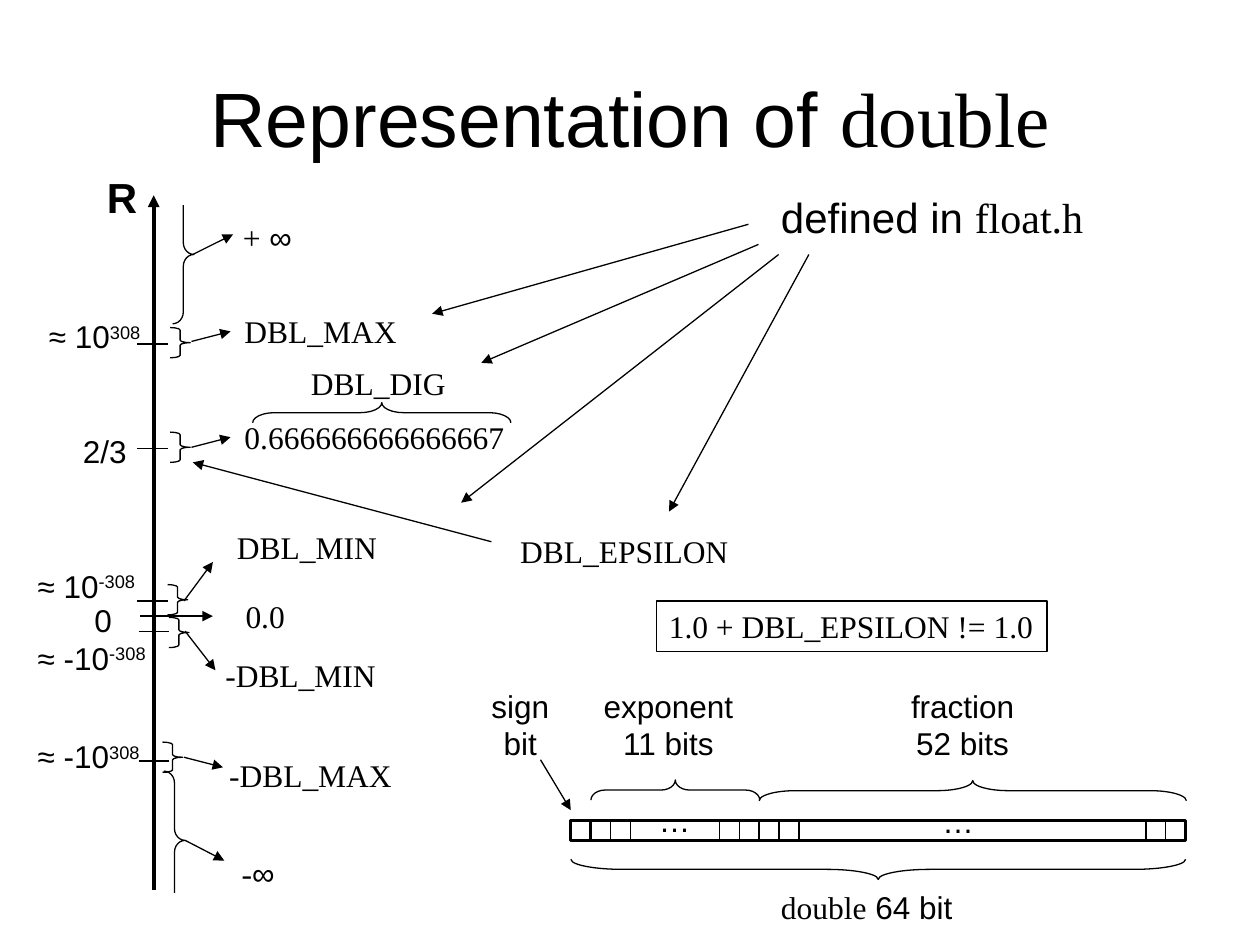
from typing import NamedTuple, Optional

from lxml.etree import SubElement
from pptx import Presentation
from pptx.dml.color import RGBColor
from pptx.enum.shapes import MSO_CONNECTOR as Conn, MSO_SHAPE as Shape
from pptx.enum.text import MSO_ANCHOR as Anchor, MSO_AUTO_SIZE as AutoSize, PP_ALIGN as Align
from pptx.oxml.ns import qn
from pptx.util import Cm, Pt

COLORS = {"ink": "000000", "paper": "FFFFFF"}
SANS, SERIF = "Arial", "Times New Roman"
CM_PER_INCH = 2.54


class Run(NamedTuple):
    text: str
    font: str = SANS
    raised: bool = False


class Label(NamedTuple):
    x: float
    y: float
    w: float
    h: float
    lines: list[list[Run]]
    size: int = 18
    bold: bool = False
    align: Align = Align.LEFT
    outline: Optional[float] = None


class Line(NamedTuple):
    x1: float
    y1: float
    x2: float
    y2: float
    width: float = 0.75
    arrow: bool = False


class Brace(NamedTuple):
    x: float
    y: float
    w: float
    h: float
    curl: float = 0.125
    rotation: int = 0


def length(inches: float) -> Cm:
    return Cm(inches * CM_PER_INCH)


def color(name: str) -> RGBColor:
    return RGBColor.from_string(COLORS[name])


def stroke(line, width: float, name: str = "ink") -> None:
    line.color.rgb = color(name)
    line.width = Pt(width)


def write(p, runs: list[Run], size: int, bold: bool = False, align: Align = Align.LEFT) -> None:
    p.alignment = align
    p.font.size, p.font.bold = Pt(size), bold
    p.font.color.rgb = color("ink")
    shared = len({run.font for run in runs}) == 1
    if shared:
        p.font.name = runs[0].font
    for run in runs:
        r = p.add_run()
        r.text = run.text
        if not shared:
            r.font.name = run.font
        if run.raised:
            r._r.get_or_add_rPr().set("baseline", "30000")


def draw_label(shapes, label: Label) -> None:
    sp = shapes.add_textbox(*map(length, label[:4]))
    tf = sp.text_frame
    tf.word_wrap = False
    tf.auto_size = AutoSize.SHAPE_TO_FIT_TEXT
    for i, runs in enumerate(label.lines):
        p = tf.add_paragraph() if i else tf.paragraphs[0]
        write(p, runs, label.size, label.bold, label.align)
    if label.outline:
        stroke(sp.line, label.outline)


def draw_line(shapes, line: Line) -> None:
    c = shapes.add_connector(Conn.STRAIGHT, *map(length, line[:4]))
    stroke(c.line, line.width)
    spPr = c._element.spPr
    if line.arrow:
        SubElement(spPr.find(qn("a:ln")), qn("a:tailEnd"), type="triangle")
    SubElement(spPr, qn("a:effectLst"))


def draw_brace(shapes, brace: Brace) -> None:
    sp = shapes.add_shape(Shape.RIGHT_BRACE, *map(length, brace[:4]))
    sp.shadow.inherit = False
    sp.fill.background()
    stroke(sp.line, 0.75)
    sp.adjustments[0] = brace.curl
    sp.rotation = brace.rotation


def draw_box(shapes, x: float, y: float, w: float, h: float, width: float, edge: str) -> None:
    sp = shapes.add_shape(Shape.RECTANGLE, *map(length, (x, y, w, h)))
    sp.shadow.inherit = False
    sp.fill.solid()
    sp.fill.fore_color.rgb = color("paper")
    stroke(sp.line, width, edge)


def power(x: float, y: float, w: float, base: str, exponent: str) -> Label:
    return Label(x, y, w, 0.4, [[Run(base), Run(exponent, raised=True)]])


def code(x: float, y: float, w: float, text: str, outline: Optional[float] = None) -> Label:
    return Label(x, y, w, 0.4, [[Run(text, SERIF)]], outline=outline)


def field(x: float, w: float, *lines: str) -> Label:
    return Label(x, 5.4, w, 0.7, [[Run(text)] for text in lines], align=Align.CENTER)


def arrow(x1: float, y1: float, x2: float, y2: float) -> Line:
    return Line(x1, y1, x2, y2, arrow=True)


LABELS = [
    Label(0.75, 1.31, 0.45, 0.51, [[Run("R")]], 24, True),
    power(0.22, 2.47, 1.03, " ≈ 10", "308"),
    power(0.2, 5.8, 1.05, "≈ -10", "308"),
    power(0.2, 4.45, 1.03, "≈ 10", "-308"),
    power(0.2, 5.02, 1.11, "≈ -10", "-308"),
    Label(0.65, 4.72, 0.33, 0.4, [[Run("0")]]),
    Label(0.56, 3.38, 0.58, 0.4, [[Run("2/3")]]),
    Label(1.83, 1.68, 0.59, 0.4, [[Run("+", SERIF), Run(" ∞")]]),
    code(1.78, 2.43, 1.47, " DBL_MAX"),
    code(2.37, 2.84, 1.27, "DBL_DIG"),
    code(1.78, 3.27, 2.33, " 0.666666666666667"),
    code(1.72, 4.14, 1.38, " DBL_MIN"),
    code(1.85, 4.69, 0.51, "0.0"),
    code(1.69, 5.16, 1.4, "-DBL_MIN"),
    code(1.72, 5.95, 1.49, "-DBL_MAX"),
    Label(1.82, 6.73, 0.47, 0.4, [[Run("-", SERIF), Run("∞")]]),
    code(4.03, 4.17, 1.85, "DBL_EPSILON"),
    Label(6.1, 1.47, 2.6, 0.5, [[Run("defined in "), Run("float.h", SERIF)]], 24),
    code(5.21, 4.77, 3.1, "1.0 + DBL_EPSILON != 1.0", 0.75),
    Label(5.13, 6.31, 0.45, 0.4, [[Run("…")]]),
    Label(7.38, 6.32, 0.45, 0.4, [[Run("…")]]),
    field(3.8, 0.66, "sign", "bit"),
    field(4.69, 1.23, "exponent", "11 bits"),
    field(7.13, 1.02, "fraction", "52 bits"),
    Label(6.1, 7, 1.56, 0.4, [[Run("double", SERIF), Run(" 64 bit")]]),
]

TICKS = [(1.09, 2.73), (1.09, 3.56), (1.09, 4.77), (1.11, 4.89), (1.1, 5.01), (1.1, 6.04)]
TICK_LENGTH = 0.24

VALUE_ARROWS = [
    arrow(1.53, 2.02, 1.85, 1.86), arrow(1.52, 2.71, 1.83, 2.63),
    arrow(1.52, 3.55, 1.83, 3.47), arrow(1.46, 4.77, 1.69, 4.46),
    arrow(1.3, 4.89, 1.69, 4.89), arrow(1.47, 5.01, 1.71, 5.32),
    arrow(1.46, 6.01, 1.77, 6.09), arrow(1.47, 6.67, 1.78, 6.83),
]
HEADER_ARROWS = [
    arrow(5.94, 1.78, 3.43, 2.49), arrow(6.02, 1.94, 3.82, 2.88),
    arrow(6.18, 2.02, 3.66, 3.99), arrow(6.42, 2.02, 5.31, 4.06),
]
EPSILON_ARROW = arrow(3.9, 4.3, 1.53, 3.67)
SIGN_ARROW = arrow(4.29, 6.03, 4.53, 6.43)

INTERVALS = [(1.35, 2.6), (1.35, 3.43), (1.33, 4.64), (1.34, 4.9), (1.29, 5.89)]
BRACES = [Brace(x, y, 0.16, 0.24) for x, y in INTERVALS] + [
    Brace(1.37, 1.47, 0.17, 1.1, 0.55),
    Brace(1.3, 6.12, 0.17, 1.1, 0.55),
    Brace(2.95, 2.25, 0.16, 2.05, 1.08, 270),
    Brace(5.28, 5.6, 0.16, 1.34, 0.71, 270),
    Brace(7.64, 4.58, 0.16, 3.39, 1.79, 270),
    Brace(6.89, 4.46, 0.16, 4.88, 2.58, 90),
]
BRACE_ENDS = [(1.3, 1.23, 0.32, 0.39), (1.23, 7.09, 0.32, 0.41)]

WORD_X, WORD_Y, WORD_W, WORD_H = 4.53, 6.51, 4.88, 0.16
BIT_W = WORD_W / 31
FIELD_EDGES = [1, 9.5]
BIT_EDGES = [2, 3, 7.5, 8.5, 10.5, 11.5, 29, 30]


def draw_word(shapes) -> None:
    draw_box(shapes, WORD_X, WORD_Y, WORD_W, WORD_H, 1.5, "ink")
    for edges, width in ((FIELD_EDGES, 1.5), (BIT_EDGES, 0.75)):
        for edge in edges:
            x = WORD_X + edge * BIT_W
            draw_line(shapes, Line(x, WORD_Y, x, WORD_Y + WORD_H, width))


def main() -> None:
    prs = Presentation()
    prs.slide_width, prs.slide_height = length(10), length(7.5)
    s = prs.slides.add_slide(prs.slide_layouts[5])
    shapes = s.shapes
    title = shapes.title
    title.left, title.top, title.width, title.height = map(length, (0.5, 0.3, 9, 1.25))
    title.text_frame.vertical_anchor = Anchor.MIDDLE
    write(title.text_frame.paragraphs[0],
          [Run("Representation of "), Run("double", SERIF)], 44, align=Align.CENTER)

    for brace in BRACES:
        draw_brace(shapes, brace)
    for end in BRACE_ENDS:
        draw_box(shapes, *end, 0.75, "paper")
    draw_word(shapes)
    axis = Line(1.22, 7.06, 1.22, 1.55, 2.25, True)
    ticks = [Line(x, y, x + TICK_LENGTH, y) for x, y in TICKS]
    for line in [axis, *ticks, *VALUE_ARROWS, *HEADER_ARROWS, EPSILON_ARROW, SIGN_ARROW]:
        draw_line(shapes, line)
    for label in LABELS:
        draw_label(shapes, label)
    prs.save("out.pptx")


if __name__ == "__main__":
    main()
